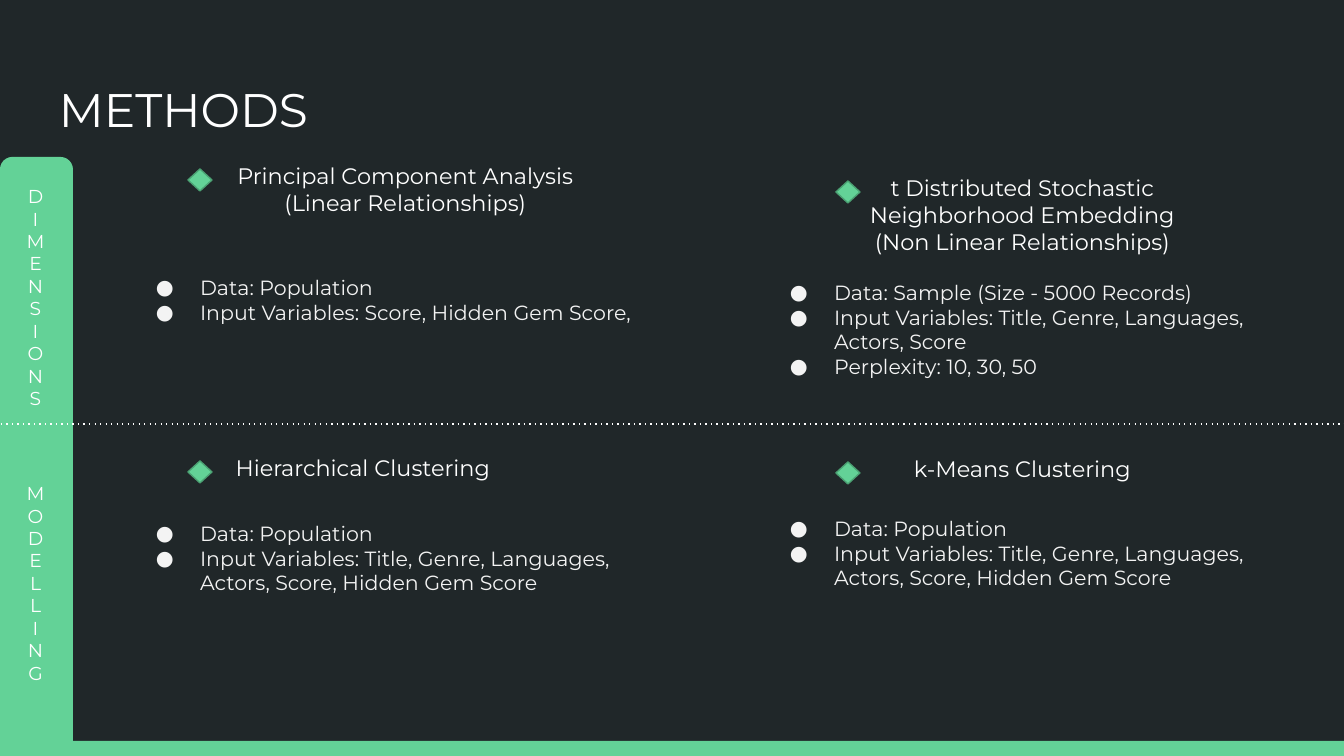
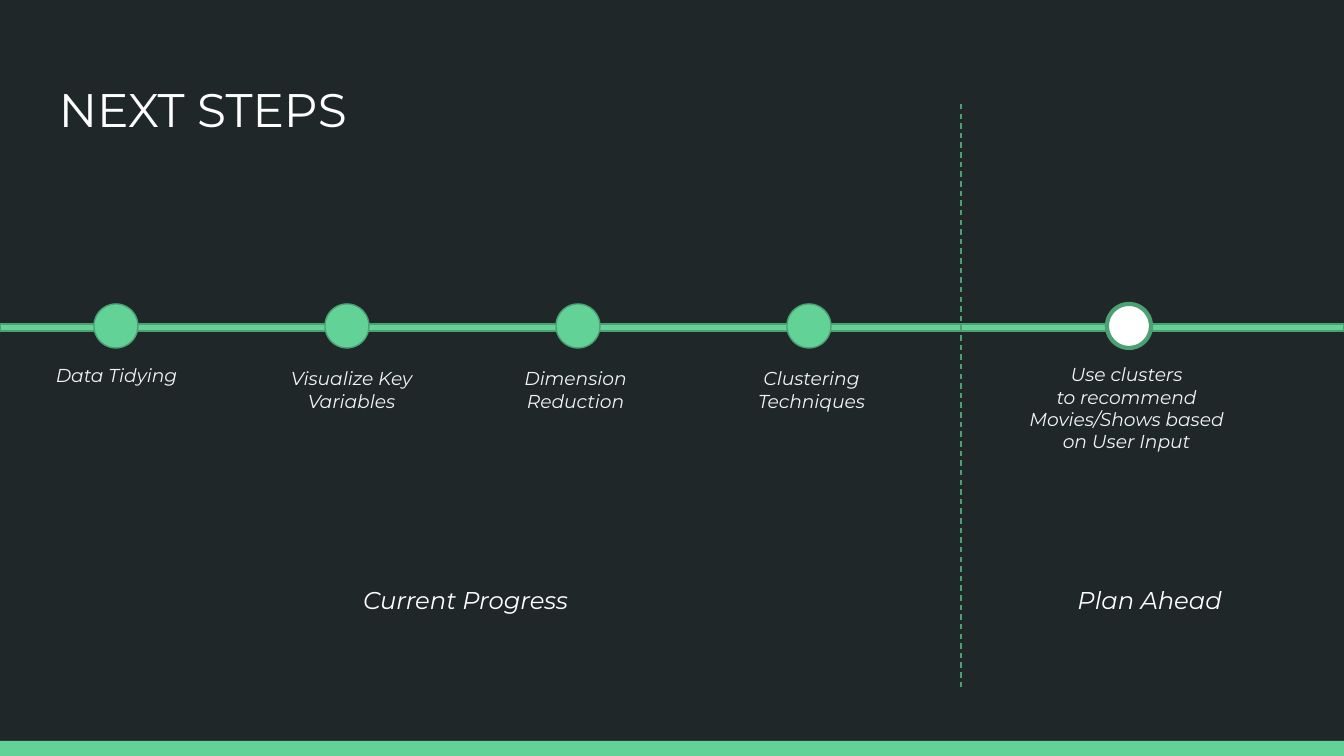
from lxml.etree import SubElement
from pptx import Presentation
from pptx.dml.color import RGBColor
from pptx.enum.dml import MSO_LINE
from pptx.enum.shapes import MSO_CONNECTOR, MSO_SHAPE
from pptx.enum.text import MSO_ANCHOR, MSO_AUTO_SIZE, PP_ALIGN
from pptx.oxml.ns import qn
from pptx.util import Pt

# Shared look
PX = 914400 / 134.4
WIDTH, HEIGHT = 1344, 756
FONT = "Montserrat"
DARK, GREEN, EDGE = "202729", "63D297", "4BA173"
WHITE, PALE = "FFFFFF", "F3F3F3"
INSET = 13
TITLE_AREA = (46, 66, 1253, 85)
BAND_AREA = (0, 741, WIDTH, 15)
COMPARISON_LAYOUT, TITLE_LAYOUT = 4, 5

# Methods: heading lines, marker corner, heading size, list items, list area
METHODS = [
    (["Principal Component Analysis (Linear Relationships)"],
     (188, 169), (405, 82),
     ["Data: Population", "Input Variables: Score, Hidden Gem Score,"],
     (120, 262, 538, 102)),
    (["t Distributed Stochastic Neighborhood Embedding",
      "(Non Linear Relationships)"],
     (836, 181), (343, 109),
     ["Data: Sample (Size - 5000 Records)",
      "Input Variables: Title, Genre, Languages, Actors, Score",
      "Perplexity: 10, 30, 50"],
     (754, 267, 538, 126)),
    (["Hierarchical Clustering"],
     (188, 461), (320, 54),
     ["Data: Population",
      "Input Variables: Title, Genre, Languages, Actors, Score, Hidden Gem Score"],
     (120, 508, 538, 126)),
    (["k-Means Clustering"],
     (836, 462), (343, 54),
     ["Data: Population",
      "Input Variables: Title, Genre, Languages, Actors, Score, Hidden Gem Score"],
     (754, 503, 538, 126)),
]
SIDE_WORDS = [
    (["DIMENS", "IONS"], (13, 172, 45, 254)),
    (["MODELL", "ING"], (13, 469, 45, 231)),
]

# Next steps: label lines, label left and top
DONE_STEPS = [
    (["Data Tidying"], -32, 353),
    (["Visualize Key", "Variables"], 203, 354),
    (["Dimension", "Reduction"], 427, 354),
    (["Clustering", "Techniques"], 663, 354),
]
PLANNED_STEP = (["Use clusters", "to recommend", "Movies/Shows based",
                 "on User Input"], 978, 350)
PHASES = [("Current Progress", 317), ("Plan Ahead", 1001)]
DOT_SIZE, DOT_TOP, FIRST_DOT, DOT_STEP, PLANNED_DOT = 44, 304, 94, 231, 1107
LABEL_WIDTH, LINE_HEIGHT = 297, 23


def px(*lengths):
    return [round(length * PX) for length in lengths]


def color(value):
    return RGBColor.from_string(value)


def set_all(target, values):
    for name, value in values.items():
        setattr(target, name, value)


def add_bullet(para, bullet_color):
    props = para._p.get_or_add_pPr()
    left, indent = px(67, -44)
    props.set("marL", str(left))
    props.set("indent", str(indent))
    fill = SubElement(props, qn("a:buClr"))
    SubElement(fill, qn("a:srgbClr")).set("val", bullet_color)
    SubElement(props, qn("a:buFont")).set("typeface", FONT)
    SubElement(props, qn("a:buChar")).set("char", "●")


def write(box, lines, size, text_color=WHITE, align=PP_ALIGN.CENTER,
          anchor=MSO_ANCHOR.TOP, fit=MSO_AUTO_SIZE.SHAPE_TO_FIT_TEXT,
          italic=False, bullets=False):
    frame = box.text_frame
    inset, = px(INSET)
    set_all(frame, {"word_wrap": True, "auto_size": fit, "vertical_anchor": anchor,
                    "margin_left": inset, "margin_right": inset,
                    "margin_top": inset, "margin_bottom": inset})
    for index, line in enumerate(lines):
        para = frame.add_paragraph() if index else frame.paragraphs[0]
        set_all(para, {"alignment": align, "space_before": Pt(0), "space_after": Pt(0)})
        if bullets:
            add_bullet(para, text_color)
        span = para.add_run()
        span.text = line
        set_all(span.font, {"name": FONT, "size": Pt(size),
                            "bold": False, "italic": italic})
        span.font.color.rgb = color(text_color)


def add_text(page, area, lines, size, **options):
    write(page.shapes.add_textbox(*px(*area)), lines, size, **options)


def fill_placeholder(box, area, lines, size, **options):
    set_all(box, dict(zip(("left", "top", "width", "height"), px(*area))))
    write(box, lines, size, align=PP_ALIGN.LEFT, **options)


def add_figure(page, kind, area, fill=GREEN, edge=None, weight=0.75):
    figure = page.shapes.add_shape(kind, *px(*area))
    figure.shadow.inherit = False
    figure.fill.solid()
    figure.fill.fore_color.rgb = color(fill)
    if edge:
        figure.line.color.rgb = color(edge)
        figure.line.width = Pt(weight)
    else:
        figure.line.fill.background()
    return figure


def add_divider(page, ends, line_color, dash):
    divider = page.shapes.add_connector(MSO_CONNECTOR.STRAIGHT, *px(*ends))
    set_all(divider.line, {"width": Pt(0.75), "dash_style": MSO_LINE.DASH})
    divider.line.color.rgb = color(line_color)
    for preset in divider._element.iter(qn("a:prstDash")):
        preset.set("val", dash)
    SubElement(divider._element.spPr, qn("a:effectLst"))


def add_page(deck, layout, title):
    page = deck.slides.add_slide(deck.slide_layouts[layout])
    fill_placeholder(page.shapes.title, TITLE_AREA, [title], 25.2,
                     anchor=MSO_ANCHOR.MIDDLE, fit=MSO_AUTO_SIZE.NONE)
    add_figure(page, MSO_SHAPE.RECTANGLE, BAND_AREA)
    return page


def build_methods(deck):
    page = add_page(deck, COMPARISON_LAYOUT, "METHODS")
    sidebar = add_figure(page, MSO_SHAPE.ROUNDED_RECTANGLE, (0, 157, 73, 599))
    sidebar.adjustments[0] = 0.17
    add_divider(page, (1, 424, WIDTH, 424), WHITE, "dot")
    for lines, area in SIDE_WORDS:
        add_text(page, area, lines, 10)
    # Each method: marker, heading beside it, bullet list below
    bodies = list(page.placeholders)[1:]
    for body, (heading, (x, y), size, items, area) in zip(bodies, METHODS):
        add_figure(page, MSO_SHAPE.FLOWCHART_DECISION, (x, y, 24, 22), edge=EDGE)
        add_text(page, (x + 15, y - 20, *size), heading, 12)
        fill_placeholder(body, area, items, 11, text_color=PALE, bullets=True)


def build_next_steps(deck):
    page = add_page(deck, TITLE_LAYOUT, "NEXT STEPS")
    # Timeline with its dots
    add_figure(page, MSO_SHAPE.RECTANGLE, (0, 324, WIDTH, 7), edge=EDGE)
    for index in range(len(DONE_STEPS)):
        left = FIRST_DOT + index * DOT_STEP
        add_figure(page, MSO_SHAPE.OVAL, (left, DOT_TOP, DOT_SIZE, DOT_SIZE), edge=EDGE)
    add_figure(page, MSO_SHAPE.OVAL, (PLANNED_DOT, DOT_TOP, DOT_SIZE, DOT_SIZE),
               fill=WHITE, edge=EDGE, weight=2.25)
    add_divider(page, (961, 104, 961, 688), EDGE, "dash")
    # Step labels and phase names
    for lines, left, top in [*DONE_STEPS, PLANNED_STEP]:
        height = 2 * INSET + LINE_HEIGHT * len(lines)
        add_text(page, (left, top, LABEL_WIDTH, height), lines, 10,
                 text_color=PALE, italic=True)
    for phase, left in PHASES:
        add_text(page, (left, 572, LABEL_WIDTH, 56), [phase], 13, italic=True)


def main():
    deck = Presentation()
    deck.slide_width, deck.slide_height = px(WIDTH, HEIGHT)
    backdrop = deck.slide_master.background.fill
    backdrop.solid()
    backdrop.fore_color.rgb = color(DARK)
    build_methods(deck)
    build_next_steps(deck)
    deck.save("out.pptx")


if __name__ == "__main__":
    main()
